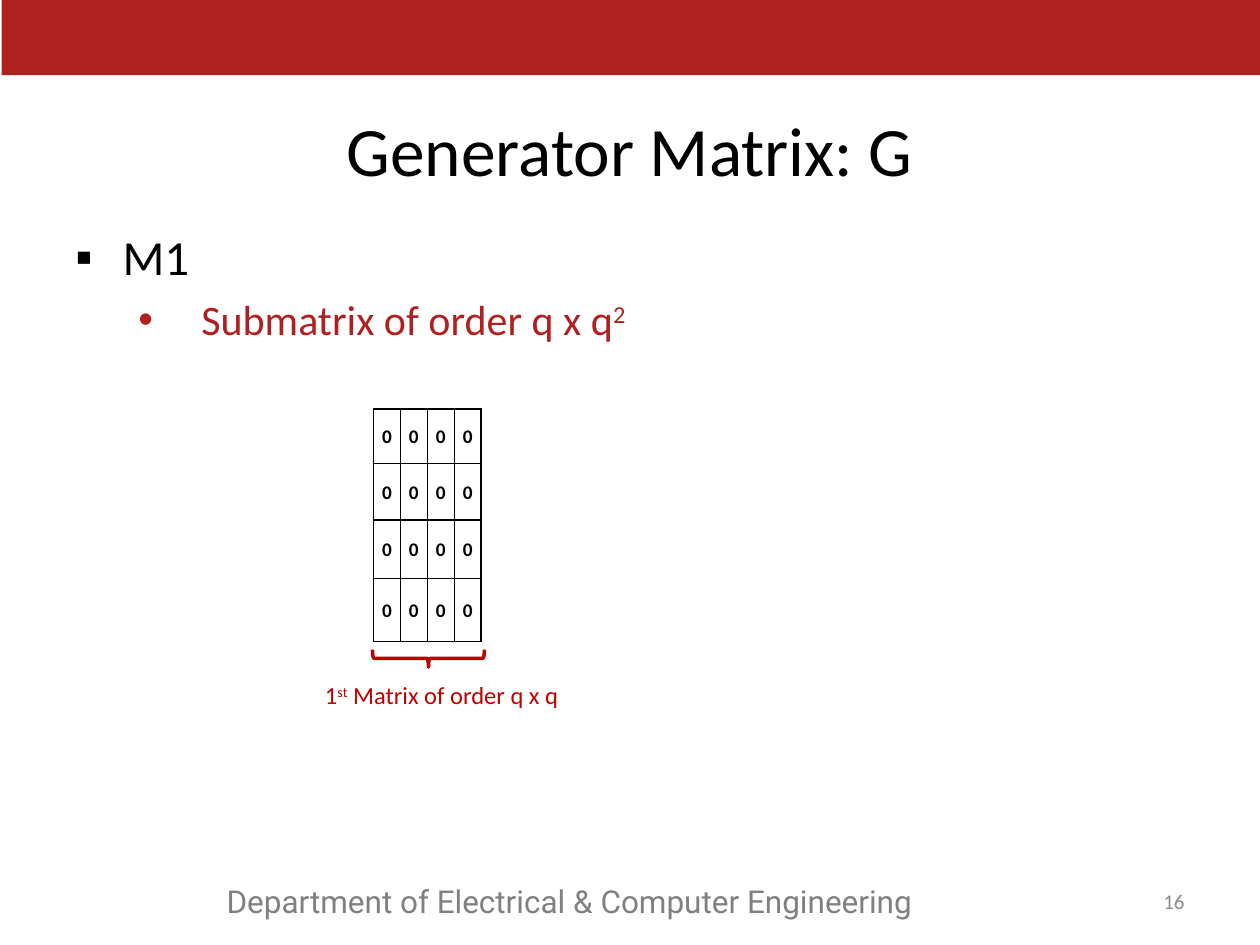
"""Build the generator matrix slide with its submatrix table."""
from dataclasses import dataclass

from lxml.etree import SubElement
from pptx import Presentation
from pptx.dml.color import RGBColor
from pptx.enum.shapes import MSO_SHAPE
from pptx.enum.text import MSO_ANCHOR, PP_ALIGN
from pptx.oxml.ns import qn
from pptx.util import Pt


@dataclass(frozen=True)
class Theme:
    black: str = "000000"
    red: str = "B12020"
    accent: str = "C00000"
    footer_gray: str = "808080"
    number_gray: str = "8C8C8C"
    font: str = "Calibri"
    footer_font: str = "Roboto"
    title_size: float = 39.6
    heading_size: float = 28
    detail_size: float = 24
    footer_size: float = 18
    caption_size: float = 14
    number_size: float = 12
    cell_size: float = 11


THEME = Theme()
TITLE = "Generator Matrix: G"
BULLETS = [
    {"runs": [("M1", False)], "mark": "▪", "left": 27, "hang": 27,
     "level": 0, "before": 0, "size": THEME.heading_size, "color": THEME.black},
    {"runs": [("Submatrix of order q x q", False), ("2", True)], "mark": "•", "left": 72, "hang": 36,
     "level": 1, "before": 4.8, "size": THEME.detail_size, "color": THEME.red},
]
MATRIX = [["0"] * 4 for _ in range(4)]
ROW_HEIGHTS = [31.2, 32.4, 33.2, 36]
COLUMN_WIDTH = 15.4
MATRIX_LEFT, MATRIX_TOP = 213.4, 233.7
CAPTION = [("1", False), ("st", True), (" Matrix of order q x q", False)]
FOOTER = "Department of Electrical & Computer Engineering"
SLIDE_NUMBER = "16"


def add_runs(paragraph, runs, size, color, font=THEME.font, bold=False):
    for text, raised in runs:
        run = paragraph.add_run()
        run.text = text
        run.font.name = font
        run.font.size = Pt(size)
        run.font.bold = bold
        run.font.color.rgb = RGBColor.from_string(color)
        if raised:
            run._r.get_or_add_rPr().set("baseline", "30000")


def add_text_frame(slide, left, top, width, height):
    text_box = slide.shapes.add_textbox(Pt(left), Pt(top), Pt(width), Pt(height))
    text_box.text_frame.word_wrap = True
    return text_box.text_frame


def add_banner(slide):
    banner = slide.shapes.add_shape(MSO_SHAPE.RECTANGLE, Pt(1), Pt(0), Pt(719), Pt(43))
    banner.shadow.inherit = False
    banner.fill.solid()
    banner.fill.fore_color.rgb = RGBColor.from_string(THEME.red)
    banner.line.fill.background()


def add_title(slide):
    title = slide.shapes.title
    title.left, title.top, title.width, title.height = Pt(36), Pt(58.3), Pt(648), Pt(53.3)
    title.text_frame.vertical_anchor = MSO_ANCHOR.MIDDLE
    paragraph = title.text_frame.paragraphs[0]
    paragraph.alignment = PP_ALIGN.CENTER
    add_runs(paragraph, [(TITLE, False)], THEME.title_size, THEME.black)


def add_bullets(slide):
    frame = add_text_frame(slide, 36, 126, 648, 356.4)
    for index, bullet in enumerate(BULLETS):
        paragraph = frame.add_paragraph() if index else frame.paragraphs[0]
        paragraph.level = bullet["level"]
        properties = paragraph._p.get_or_add_pPr()
        properties.set("marL", str(Pt(bullet["left"])))
        properties.set("indent", str(-Pt(bullet["hang"])))
        SubElement(properties, qn("a:buFont"), typeface="Arial")
        SubElement(properties, qn("a:buChar"), char=bullet["mark"])
        paragraph.space_before = Pt(bullet["before"])
        add_runs(paragraph, bullet["runs"], bullet["size"], bullet["color"])


def format_cell(cell, text):
    properties = cell._tc.get_or_add_tcPr()
    for side in ("a:lnL", "a:lnR", "a:lnT", "a:lnB"):
        border = SubElement(properties, qn(side), w=str(Pt(1)))
        fill = SubElement(border, qn("a:solidFill"))
        SubElement(fill, qn("a:srgbClr"), val=THEME.black)
    cell.fill.background()
    cell.margin_left = cell.margin_right = Pt(4.9)
    cell.margin_top = cell.margin_bottom = Pt(0)
    cell.vertical_anchor = MSO_ANCHOR.MIDDLE
    paragraph = cell.text_frame.paragraphs[0]
    paragraph.alignment = PP_ALIGN.CENTER
    paragraph.line_spacing = 1.07
    add_runs(paragraph, [(text, False)], THEME.cell_size, THEME.black, bold=True)


def add_matrix(slide):
    column_count = len(MATRIX[0])
    table = slide.shapes.add_table(
        len(MATRIX), column_count, Pt(MATRIX_LEFT), Pt(MATRIX_TOP),
        Pt(COLUMN_WIDTH * column_count), Pt(sum(ROW_HEIGHTS))).table
    table.first_row = table.horz_banding = False
    for column in table.columns:
        column.width = Pt(COLUMN_WIDTH)
    for row_index, (values, height) in enumerate(zip(MATRIX, ROW_HEIGHTS)):
        table.rows[row_index].height = Pt(height)
        for column_index, value in enumerate(values):
            format_cell(table.cell(row_index, column_index), value)


def add_brace(slide):
    brace = slide.shapes.add_shape(MSO_SHAPE.RIGHT_BRACE, Pt(239.8), Pt(344.2), Pt(10), Pt(64))
    brace.rotation = 90
    brace.shadow.inherit = False
    brace.fill.background()
    brace.line.color.rgb = RGBColor.from_string(THEME.accent)
    brace.line.width = Pt(2)


def add_labels(slide):
    caption = add_text_frame(slide, 178.6, 385.2, 164.2, 24.5)
    add_runs(caption.paragraphs[0], CAPTION, THEME.caption_size, THEME.accent)
    footer = add_text_frame(slide, 122.4, 500.4, 415.4, 28.8)
    add_runs(footer.paragraphs[0], [(FOOTER, False)], THEME.footer_size,
             THEME.footer_gray, THEME.footer_font)
    number = add_text_frame(slide, 641.5, 500.4, 42.5, 28.8)
    number.vertical_anchor = MSO_ANCHOR.MIDDLE
    number.paragraphs[0].alignment = PP_ALIGN.RIGHT
    add_runs(number.paragraphs[0], [(SLIDE_NUMBER, False)], THEME.number_size, THEME.number_gray)


def main():
    presentation = Presentation()
    presentation.slide_width, presentation.slide_height = Pt(720), Pt(540)
    slide = presentation.slides.add_slide(presentation.slide_layouts[5])
    add_banner(slide)
    add_title(slide)
    add_bullets(slide)
    add_matrix(slide)
    add_brace(slide)
    add_labels(slide)
    presentation.save("out.pptx")


if __name__ == "__main__":
    main()
